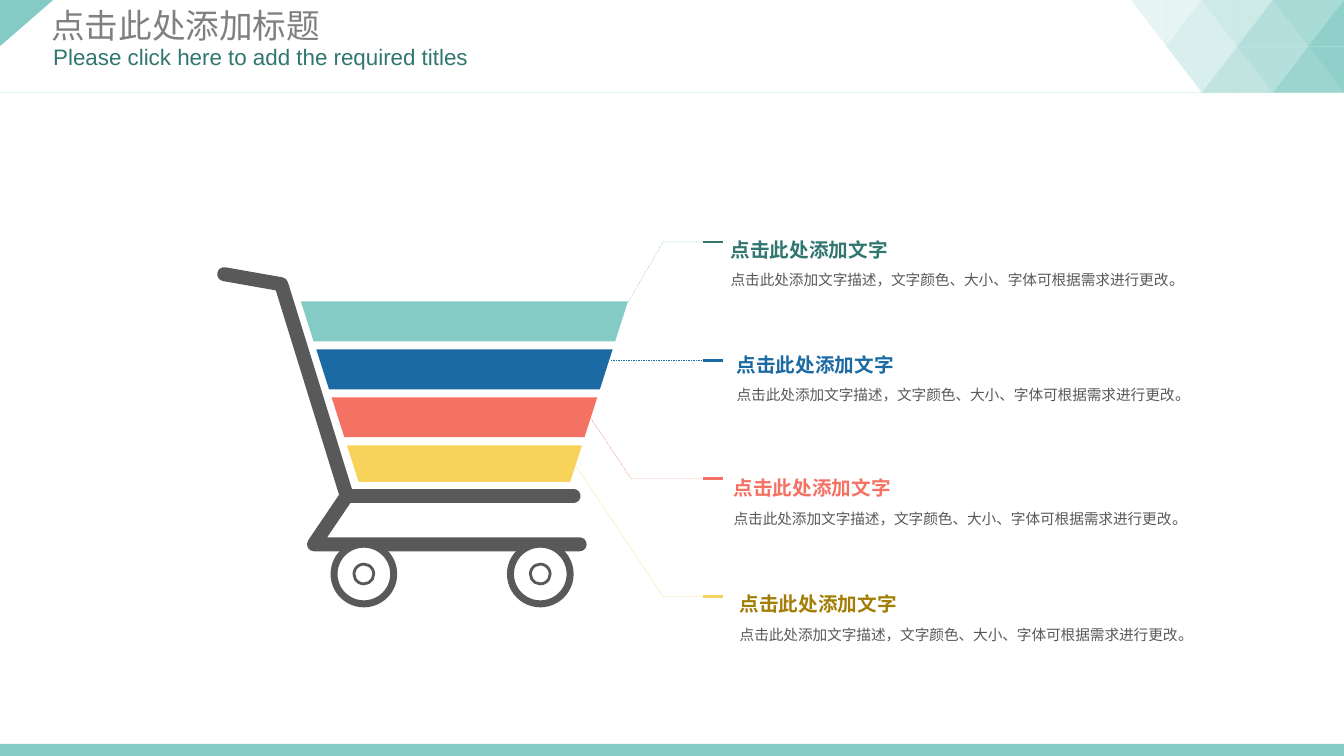
from dataclasses import dataclass
from itertools import product

from lxml.etree import SubElement
from pptx import Presentation
from pptx.dml.color import RGBColor
from pptx.enum.dml import MSO_LINE
from pptx.enum.shapes import MSO_CONNECTOR, MSO_SHAPE
from pptx.enum.text import MSO_AUTO_SIZE
from pptx.oxml.ns import qn
from pptx.util import Inches, Pt

CELL = Inches(0.1)
COLUMNS, ROWS = 133.33, 75


@dataclass(frozen=True)
class Theme:
    teal: str = "84CBC5"
    deep_teal: str = "327670"
    blue: str = "1B6AA3"
    coral: str = "F47264"
    yellow: str = "F8D35C"
    ochre: str = "A37E07"
    dark: str = "595959"
    grey: str = "808080"
    white: str = "FFFFFF"
    latin: str = "Arial"
    heading_face: str = "Calibri"
    chinese: str = "Noto Sans CJK SC"
    title: float = 24
    subtitle: float = 16
    heading: float = 14
    body: float = 10.5
    full_stop: float = 11
    hairline: float = 0.25
    tick: float = 2
    tube: float = 10
    tyre: float = 5


THEME = Theme()


@dataclass(frozen=True)
class Box:
    """A region measured in grid cells."""
    left: float
    top: float
    width: float
    height: float

    def point(self, column, row):
        return round((self.left + column) * CELL), round((self.top + row) * CELL)

    def inner(self, column, row, width, height):
        return Box(self.left + column, self.top + row, width, height)

    def frame(self):
        return *self.point(0, 0), round(self.width * CELL), round(self.height * CELL)


def paint(shape, fill=None, line=None, width=0, opacity=100):
    shape.shadow.inherit = False
    if fill:
        shape.fill.solid()
        shape.fill.fore_color.rgb = RGBColor.from_string(fill)
        if opacity < 100:
            color = shape.element.spPr.find(".//" + qn("a:srgbClr"))
            SubElement(color, qn("a:alpha"), val=str(opacity * 1000))
    else:
        shape.fill.background()
    if line:
        shape.line.color.rgb = RGBColor.from_string(line)
        shape.line.width = Pt(width)
    else:
        shape.line.fill.background()
    return shape


def add_preset(page, kind, box, **look):
    return paint(page.shapes.add_shape(kind, *box.frame()), **look)


def add_outline(page, box, paths, close=True, **look):
    """Draw one freeform from lists of points inside the box."""
    builder = None
    for first, *others in paths:
        if builder is None:
            builder = page.shapes.build_freeform(*box.point(*first))
        else:
            builder.move_to(*box.point(*first))
        builder.add_line_segments([box.point(*spot) for spot in others], close=close)
    return paint(builder.convert_to_shape(), **look)


def add_line(page, box, start, end, color, width):
    line = page.shapes.add_connector(
        MSO_CONNECTOR.STRAIGHT, *box.point(*start), *box.point(*end))
    line.line.color.rgb = RGBColor.from_string(color)
    line.line.width = Pt(width)
    SubElement(line.element.spPr, qn("a:effectLst"))
    return line


def add_text(page, box, paragraphs, wrap=True, spacing=None):
    """Each paragraph is (spans, size, face, color, bold); a span is (text, size)."""
    frame = page.shapes.add_textbox(*box.frame()).text_frame
    frame.word_wrap = wrap
    frame.auto_size = MSO_AUTO_SIZE.SHAPE_TO_FIT_TEXT
    for index, (spans, size, face, color, bold) in enumerate(paragraphs):
        para = frame.add_paragraph() if index else frame.paragraphs[0]
        para.line_spacing = spacing
        para.font.size, para.font.name, para.font.bold = Pt(size), face, bold
        para.font.color.rgb = RGBColor.from_string(color)
        for text, own_size in spans:
            span = para.add_run()
            span.text = text
            if own_size:
                span.font.size = Pt(own_size)
            SubElement(span.font._element, qn("a:ea"), typeface=THEME.chinese)


def add_triangles(page, box):
    """Cells split along alternating diagonals, fading out to the left."""
    upper = ((20, 20, 40, 40, 70, 70), (0, 30, 30, 60, 60, 90))
    lower = ((0, 30, 30, 60, 60, 90), (0, 0, 50, 50, 80, 80))
    wide, high = box.width / 6, box.height / 2
    for row, column in product(range(2), range(6)):
        cell = box.inner(column * wide, row * high, wide, high)
        falling = (row + column) % 2 == 0
        top = [(0, 0), (wide, 0), (wide if falling else 0, high)]
        bottom = [(0, high), (wide, high), (0 if falling else wide, 0)]
        for corners, opacity in ((top, upper[row][column]), (bottom, lower[row][column])):
            if opacity:
                add_outline(page, cell, [corners], fill=THEME.teal, opacity=opacity)


def add_header(page, box):
    add_preset(page, MSO_SHAPE.RECTANGLE, box, fill=THEME.teal)
    add_outline(page, box, [[(box.width, box.height), (box.width, 0), (5.3, 0),
                             (0, box.height / 2), (0, box.height)]], fill=THEME.white)
    add_triangles(page, box.inner(box.width - 21.13, 0, 21.13, box.height))
    add_text(page, box.inner(4.3, 3.8, 43.7, 3.7), [
        ([("Please click here to add the required titles", None)],
         THEME.subtitle, THEME.latin, THEME.deep_teal, False)], wrap=False)
    add_text(page, box.inner(4.1, 0, 38.2, 5), [
        ([("点击此处添加标题", None)], THEME.title, THEME.chinese, THEME.grey, False)])


def add_basket(page, box):
    """Four bands whose ends follow the basket's sloping sides."""
    slope, pitch = 0.32, 4.76
    colors = (THEME.teal, THEME.blue, THEME.coral, THEME.yellow)
    for index, color in enumerate(colors):
        top = index * pitch
        bottom = min(top + 3.96, box.height)
        add_outline(page, box, [[
            (top * slope, top), (box.width - top * slope, top),
            (box.width - bottom * slope, bottom), (bottom * slope, bottom)]], fill=color)


def add_cart(page, box):
    joint = (12.9, 22.7)
    tubes = add_outline(page, box, [
        [(0.75, 0.7), (6.4, 1.7), joint, (9.65, 27.5), (36, 27.5)],
        [joint, (35.4, 22.7)]], close=False, line=THEME.dark, width=THEME.tube)
    outline = tubes.element.spPr.find(qn("a:ln"))
    outline.set("cap", "rnd")
    SubElement(outline, qn("a:round"))
    for center in (14.6, 32.1):
        for radius, width in ((2.96, THEME.tyre), (0.98, THEME.tick)):
            wheel = box.inner(center - radius, 30.45 - radius, 2 * radius, 2 * radius)
            add_preset(page, MSO_SHAPE.OVAL, wheel,
                       fill=THEME.white, line=THEME.dark, width=width)
    add_basket(page, box.inner(8.35, 3.4, 32.45, 17.9))


def add_callout(page, box, color, tick_color, text_color, leader, text_at):
    """Leader points and the text corner are measured from the tick's left end."""
    start = (1.7, 0)
    if len(leader) == 1:
        line = add_line(page, box, start, leader[0], color, THEME.hairline)
    else:
        line = add_outline(page, box, [[start, *leader]], close=False,
                           line=color, width=THEME.hairline)
    line.line.dash_style = MSO_LINE.DASH
    add_line(page, box, (0, 0), (2, 0), tick_color, THEME.tick)
    description = "点击此处添加文字描述，文字颜色、大小、字体可根据需求进行更改"
    add_text(page, box.inner(*text_at, box.width, box.height), [
        ([("点击此处添加文字", None)], THEME.heading, THEME.heading_face, text_color, True),
        ([(description, None), ("。", THEME.full_stop)],
         THEME.body, THEME.heading_face, THEME.dark, False)], spacing=1.5)


def add_callouts(page, box):
    callouts = (
        (THEME.teal, THEME.deep_teal, THEME.deep_teal, [(-3.9, 0), (-7.4, 6)], (1.8, -2.1)),
        (THEME.blue, THEME.blue, THEME.blue, [(-9.2, 0)], (2.4, -2.4)),
        (THEME.coral, THEME.coral, THEME.coral, [(-7.1, 0), (-11.1, -6)], (2.1, -1.9)),
        (THEME.yellow, THEME.yellow, THEME.ochre, [(-3.9, 0), (-12.6, -13)], (2.7, -2.1)),
    )
    pitch = box.height / (len(callouts) - 1)
    for index, callout in enumerate(callouts):
        add_callout(page, box.inner(0, index * pitch, box.width, 7.3), *callout)


def main():
    deck = Presentation()
    deck.slide_width, deck.slide_height = round(COLUMNS * CELL), ROWS * CELL
    page = deck.slides.add_slide(deck.slide_layouts[6])
    add_preset(page, MSO_SHAPE.RECTANGLE, Box(0, ROWS - 1.2, COLUMNS, 1.2), fill=THEME.teal)
    add_header(page, Box(0, 0, COLUMNS, 9.2))
    add_cart(page, Box(21.5, 26.5, 36.7, 33.7))
    add_callouts(page, Box(69.7, 24, 47.4, 35.2))
    deck.save("out.pptx")


if __name__ == "__main__":
    main()
